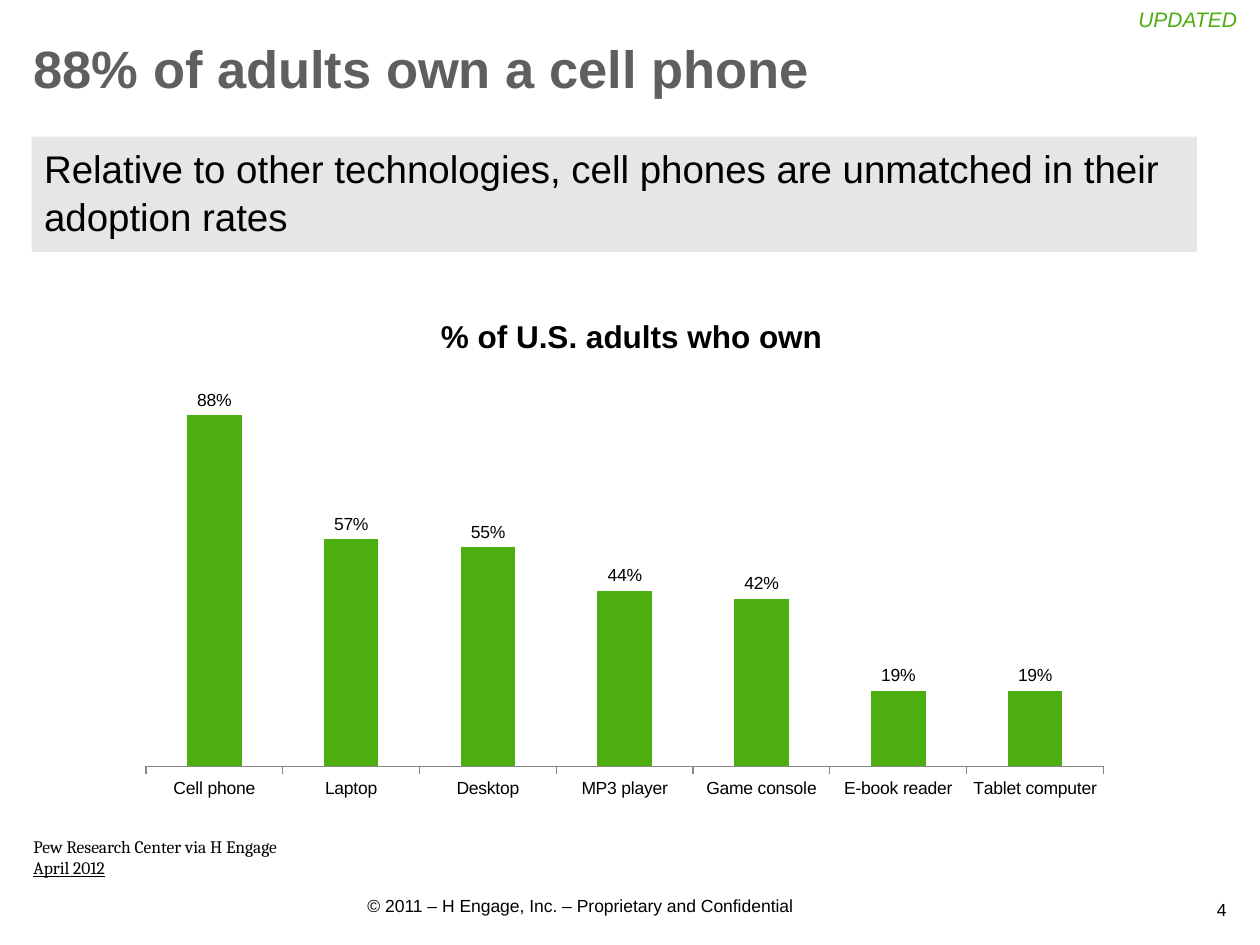
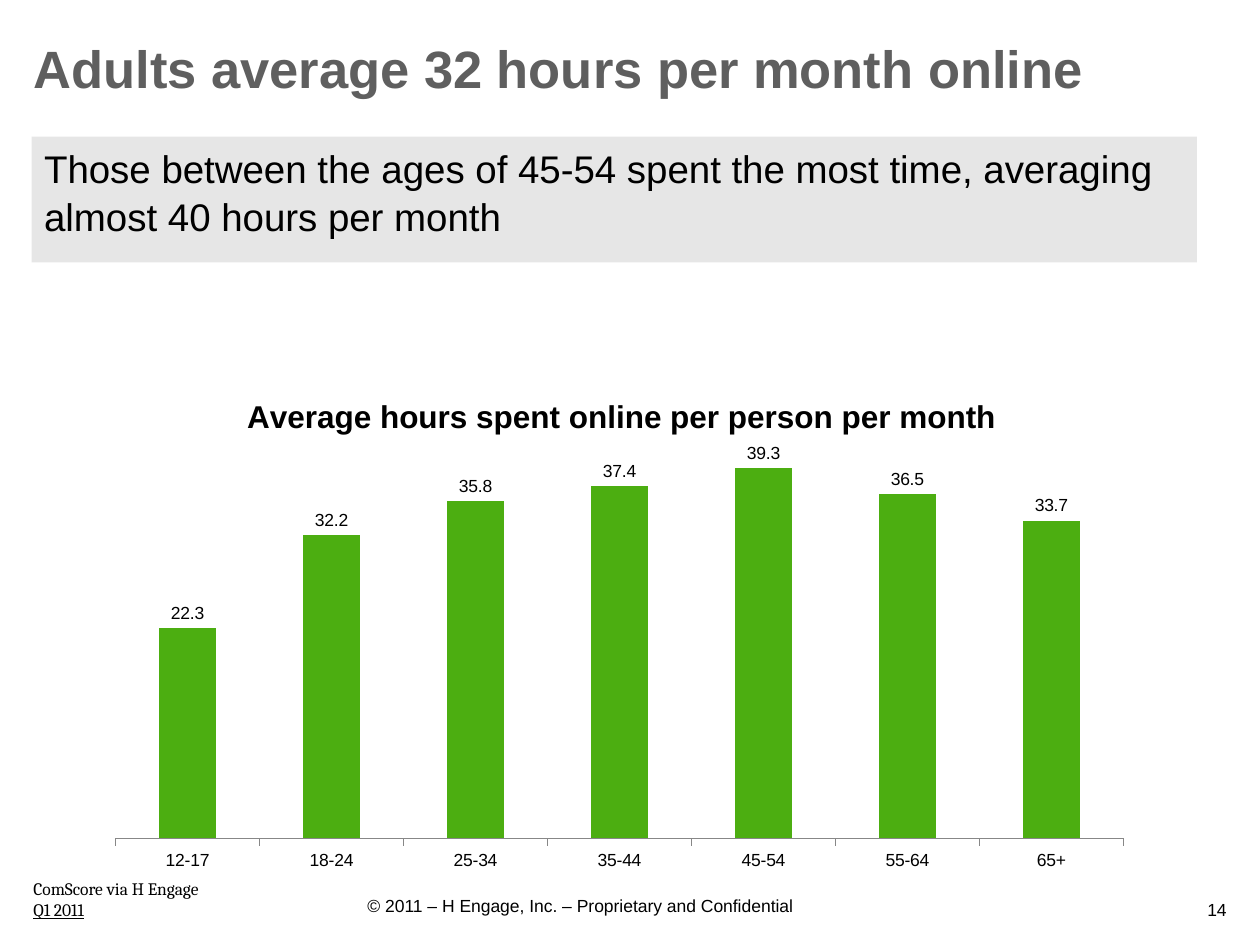
from dataclasses import dataclass

from lxml.etree import SubElement
from pptx import Presentation
from pptx.chart.data import CategoryChartData as ChartData
from pptx.dml.color import RGBColor as Rgb
from pptx.enum.chart import XL_CHART_TYPE as Kind
from pptx.enum.chart import XL_LABEL_POSITION as Spot
from pptx.enum.chart import XL_TICK_LABEL_POSITION as TickText
from pptx.enum.chart import XL_TICK_MARK as Tick
from pptx.enum.text import MSO_ANCHOR as Anchor
from pptx.enum.text import MSO_AUTO_SIZE as Fit
from pptx.enum.text import PP_ALIGN as Align
from pptx.oxml.ns import qn
from pptx.util import Pt


@dataclass(frozen=True)
class Theme:
    ink: Rgb = Rgb(0, 0, 0)
    head: Rgb = Rgb(0x5F, 0x5F, 0x5F)
    band: Rgb = Rgb(0xE6, 0xE6, 0xE6)
    green: Rgb = Rgb(0x4C, 0xAE, 0x11)
    axis: Rgb = Rgb(0x87, 0x87, 0x87)
    sans: str = "Arial"
    serif: str = "Cambria"
    title: int = 30
    lead: int = 22
    chart: int = 18
    tag: int = 12
    small: int = 10


THEME = Theme()
FOOTER = "© 2011 – H Engage, Inc. – Proprietary and Confidential"

SLIDES = [
    dict(
        title="88% of adults own a cell phone",
        lead="Relative to other technologies, cell phones are unmatched "
             "in their adoption rates",
        deep=66, page="4", tag="UPDATED",
        source=("Pew Research Center via H Engage", "April 2012"),
        low=474,
        box=(72, 162, 570, 300),
        chart=dict(
            title="% of U.S. adults who own",
            data={"Cell phone": 0.88, "Laptop": 0.57, "Desktop": 0.55,
                  "MP3 player": 0.44, "Game console": 0.42,
                  "E-book reader": 0.19, "Tablet computer": 0.19},
            form="0%", top=1,
            head=(0.31, 0.05), plot=(0.02, 0.16, 0.96, 0.76)),
    ),
    dict(
        title="Adults average 32 hours per month online",
        lead="Those between the ages of 45-54 spent the most time, "
             "averaging almost 40 hours per month",
        deep=72, page="14", tag=None,
        source=("ComScore via H Engage", "Q1 2011"),
        low=498,
        box=(54, 192, 600, 312),
        chart=dict(
            title="Average hours spent online per person per month",
            data={"12-17": 22.3, "18-24": 32.2, "25-34": 35.8,
                  "35-44": 37.4, "45-54": 39.3, "55-64": 36.5,
                  "65+": 33.7},
            form="0.0", top=40,
            head=(0.14, 0.1), plot=(0.02, 0.23, 0.96, 0.69)),
    ),
]


def style(font, size, color=THEME.ink, name=THEME.sans, bold=False):
    font.name, font.size, font.bold = name, Pt(size), bold
    font.color.rgb = color


def place(shape, box):
    shape.left, shape.top, shape.width, shape.height = map(Pt, box)


def label(slide, box, lines, size, align=Align.LEFT, wrap=True, **look):
    """Add a text box and return its frame."""
    frame = slide.shapes.add_textbox(*map(Pt, box)).text_frame
    frame.word_wrap = wrap
    frame.text = "\n".join(lines)
    for para in frame.paragraphs:
        para.alignment = align
        style(para.runs[0].font, size, **look)
    return frame


def heading(slide, box, text):
    shape = slide.shapes.title
    place(shape, box)
    frame = shape.text_frame
    frame.text = text
    frame.auto_size = Fit.NONE
    frame.vertical_anchor = Anchor.BOTTOM
    para = frame.paragraphs[0]
    para.alignment = Align.LEFT
    style(para.runs[0].font, THEME.title, THEME.head, bold=True)


def band(slide, box, text):
    """Grey band with the lead sentence."""
    shape = slide.placeholders[1]
    place(shape, box)
    shape.fill.solid()
    shape.fill.fore_color.rgb = THEME.band
    frame = shape.text_frame
    frame.text = text
    frame.auto_size = Fit.NONE
    frame.vertical_anchor = Anchor.TOP
    para = frame.paragraphs[0]
    para.space_before = Pt(0)
    para.line_spacing = 1.04
    props = para._p.get_or_add_pPr()
    props.set("marL", "0")
    props.set("indent", "0")
    SubElement(props, qn("a:buNone"))
    style(para.runs[0].font, THEME.lead)


def pin(parent, index, **spots):
    """Fix a chart part at fractions of the chart area."""
    for old in parent.findall(qn("c:layout")):
        parent.remove(old)
    layout = SubElement(parent, qn("c:layout"))
    parent.insert(index, layout)
    manual = SubElement(layout, qn("c:manualLayout"))
    if "w" in spots:
        SubElement(manual, qn("c:layoutTarget")).set("val", "inner")
    for key in "xy":
        SubElement(manual, qn(f"c:{key}Mode")).set("val", "edge")
    for key, val in spots.items():
        SubElement(manual, qn(f"c:{key}")).set("val", str(val))


def columns(slide, box, title, data, form, top, head, plot):
    """Column chart with value labels and no value axis."""
    table = ChartData(number_format=form)
    table.categories = list(data)
    table.add_series("Series 1", list(data.values()))
    chart = slide.shapes.add_chart(
        Kind.COLUMN_CLUSTERED, *map(Pt, box), table).chart
    style(chart.font, THEME.small)
    chart.has_legend = False

    # Title
    chart.has_title = True
    frame = chart.chart_title.text_frame
    frame.text = title
    style(frame.paragraphs[0].runs[0].font, THEME.chart, bold=True)
    chart.chart_title.include_in_layout = False
    pin(chart.chart_title.element, 1, **dict(zip("xy", head)))
    area = chart.element.find(".//" + qn("c:plotArea"))
    pin(area, 0, **dict(zip("xywh", plot)))

    # Axes
    cats, vals = chart.category_axis, chart.value_axis
    cats.major_tick_mark = Tick.OUTSIDE
    cats.tick_label_position = TickText.NEXT_TO_AXIS
    cats.format.line.color.rgb = THEME.axis
    vals.minimum_scale, vals.maximum_scale = 0, top
    vals.has_major_gridlines = False
    vals.visible = False

    # Bars and labels
    bars = chart.plots[0]
    bars.gap_width = 150
    bars.vary_by_categories = False
    fill = bars.series[0].format.fill
    fill.solid()
    fill.fore_color.rgb = THEME.green
    bars.has_data_labels = True
    marks = bars.data_labels
    marks.show_value = True
    marks.number_format, marks.number_format_is_linked = form, False
    marks.position = Spot.OUTSIDE_END
    style(marks.font, THEME.small)


def footer(slide, page):
    frame = label(slide, (148, 503, 367, 29), [FOOTER], THEME.small,
                  Align.CENTER)
    frame.vertical_anchor = Anchor.MIDDLE
    label(slide, (540, 510, 168, 18), [page], THEME.small, Align.RIGHT)


def credit(slide, box, lines):
    """Source note with its date underlined."""
    frame = label(slide, box, lines, THEME.small, wrap=False,
                  name=THEME.serif)
    frame.paragraphs[-1].runs[0].font.underline = True


def corner(slide, box, text):
    frame = label(slide, box, [text], THEME.tag, Align.RIGHT,
                  color=THEME.green)
    frame.paragraphs[0].runs[0].font.italic = True


def build(deck, item):
    slide = deck.slides.add_slide(deck.slide_layouts[1])
    heading(slide, (12, 12, 696, 48), item["title"])
    band(slide, (18, 78, 666, item["deep"]), item["lead"])
    columns(slide, item["box"], **item["chart"])
    footer(slide, item["page"])
    credit(slide, (12, item["low"], 170, 32), item["source"])
    if item["tag"]:
        corner(slide, (516, 0, 198, 22), item["tag"])


def main():
    deck = Presentation()
    deck.slide_width, deck.slide_height = Pt(720), Pt(540)
    for item in SLIDES:
        build(deck, item)
    deck.save("out.pptx")


if __name__ == "__main__":
    main()
